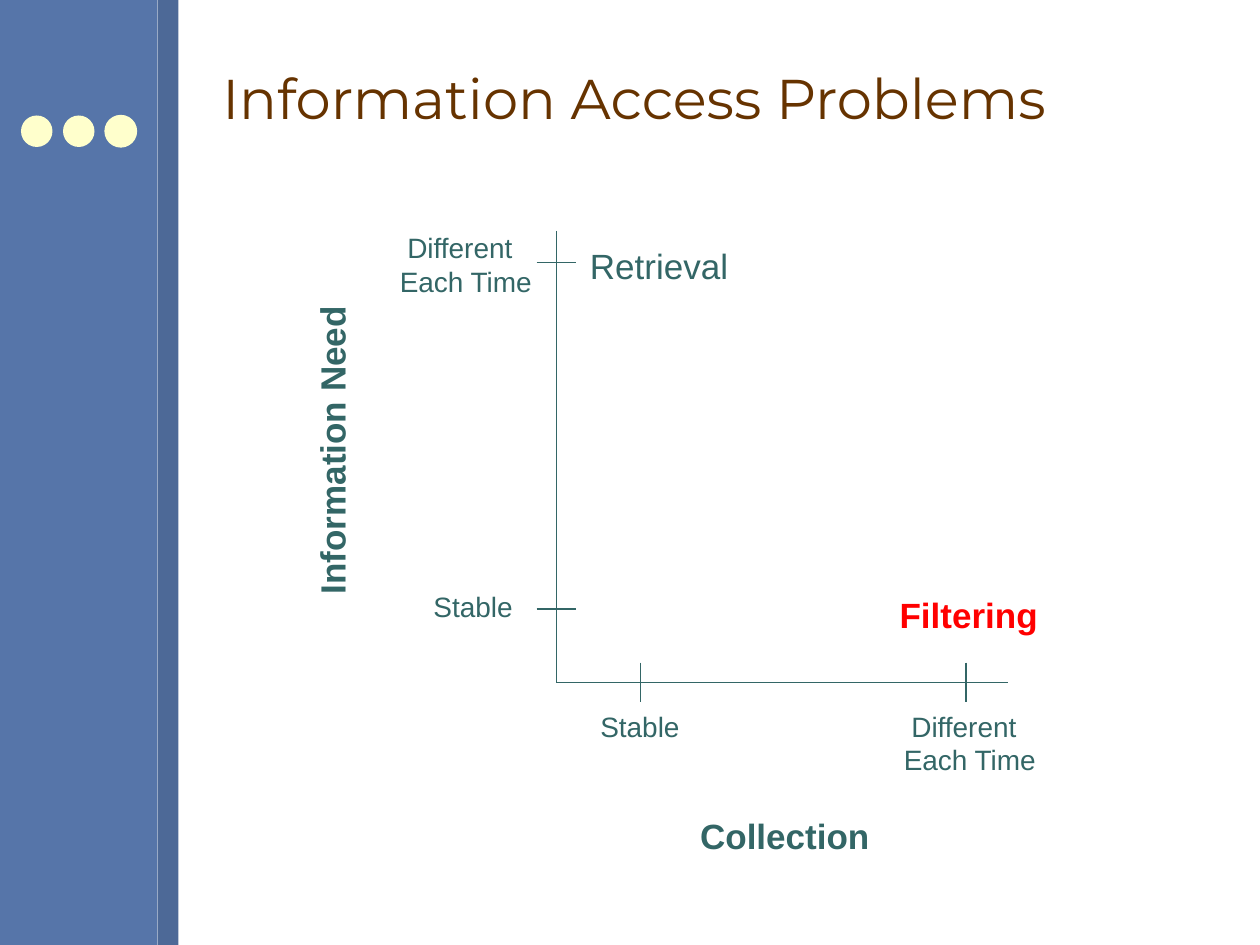
from dataclasses import dataclass
from typing import NamedTuple

from lxml.etree import SubElement
from pptx import Presentation
from pptx.dml.color import RGBColor
from pptx.enum.shapes import MSO_CONNECTOR, MSO_SHAPE
from pptx.enum.text import MSO_ANCHOR, MSO_AUTO_SIZE
from pptx.oxml.ns import qn
from pptx.util import Emu, Inches, Pt

COLUMNS, ROWS = 120, 90  # grid of twelve steps to the inch


@dataclass(frozen=True)
class Theme:
    band: str = "5675A9"
    band_edge: str = "4D6997"
    dot: str = "FFFFCC"
    title: str = "663300"
    ink: str = "336666"
    accent: str = "FF0000"
    title_font: str = "Montserrat"
    body_font: str = "Arial"
    title_size: int = 32
    name_size: int = 20
    tick_size: int = 16
    line_width: float = 1
    dot_line: float = 0.75


THEME = Theme()


class Area(NamedTuple):
    column: float
    row: float
    columns: float
    rows: float


@dataclass(frozen=True)
class Label:
    lines: tuple[str, ...]
    area: Area
    size: int = THEME.name_size
    color: str = THEME.ink
    font: str = THEME.body_font
    bold: bool = False
    rotation: int = 0
    first_indent: float = 0
    is_title: bool = False


def grid(steps: float) -> Emu:
    return Inches(steps / 12)


def draw_block(slide, kind: MSO_SHAPE, area: Area, color: str, outline: float = 0) -> None:
    block = slide.shapes.add_shape(kind, *map(grid, area))
    block.shadow.inherit = False
    block.fill.solid()
    block.fill.fore_color.rgb = RGBColor.from_string(color)
    if outline:
        block.line.color.rgb = RGBColor.from_string(color)
        block.line.width = Pt(outline)
    else:
        block.line.fill.background()


def draw_line(slide, start: tuple[float, float], end: tuple[float, float]) -> None:
    line = slide.shapes.add_connector(MSO_CONNECTOR.STRAIGHT, *map(grid, start + end))
    line.line.color.rgb = RGBColor.from_string(THEME.ink)
    line.line.width = Pt(THEME.line_width)
    SubElement(line._element.spPr, qn("a:effectLst"))


def draw_label(slide, label: Label) -> None:
    box = slide.shapes.add_textbox(*map(grid, label.area))
    box.rotation = label.rotation
    frame = box.text_frame
    frame.text = "\n".join(label.lines)
    frame.word_wrap = label.is_title
    if label.is_title:
        frame.vertical_anchor = MSO_ANCHOR.MIDDLE
    else:
        frame.auto_size = MSO_AUTO_SIZE.SHAPE_TO_FIT_TEXT
    if label.first_indent:
        frame.paragraphs[0]._p.get_or_add_pPr().set("indent", str(Inches(label.first_indent)))
    font_format = {"name": label.font, "size": Pt(label.size), "bold": label.bold}
    for paragraph in frame.paragraphs:
        for run in paragraph.runs:
            for attribute, value in font_format.items():
                setattr(run.font, attribute, value)
            run.font.color.rgb = RGBColor.from_string(label.color)


# Axes and the places of their ticks
ORIGIN = (53, 65)
NEED_TOP, COLLECTION_END = 22, 96
NEED_TICKS = (25, 58)
COLLECTION_TICKS = (61, 92)
HALF_TICK = 1.9

EACH_TIME = ("Different", "Each Time")
TICK = {"size": THEME.tick_size}
EACH_TIME_TICK = {**TICK, "first_indent": 0.06}

LABELS = (
    Label(("Information Access Problems",), Area(20, 2.5, 96, 13.5), THEME.title_size,
          THEME.title, THEME.title_font, is_title=True),
    Label(("Collection",), Area(65.5, 77, 19, 5.2), bold=True),
    Label(("Information Need",), Area(16.6, 40.2, 30, 5.2), bold=True, rotation=270),
    Label(("Stable",), Area(56, 67, 10, 4.3), **TICK),
    Label(("Stable",), Area(40.1, 55.6, 10, 4.3), **TICK),
    Label(EACH_TIME, Area(84.9, 66.95, 15.2, 7.5), **EACH_TIME_TICK),
    Label(EACH_TIME, Area(36.9, 21.4, 15.2, 7.5), **EACH_TIME_TICK),
    Label(("Retrieval",), Area(55, 22.7, 15.6, 5.2)),
    Label(("Filtering",), Area(84.5, 55.9, 15.6, 5.2), color=THEME.accent, bold=True),
)


def main() -> None:
    deck = Presentation()
    deck.slide_width, deck.slide_height = grid(COLUMNS), grid(ROWS)
    slide = deck.slides.add_slide(deck.slide_layouts[6])

    # Side band with three dots
    draw_block(slide, MSO_SHAPE.RECTANGLE, Area(0, 0, 15, ROWS), THEME.band)
    draw_block(slide, MSO_SHAPE.RECTANGLE, Area(15, 0, 2, ROWS), THEME.band_edge)
    for column, outline in ((2, 0), (6, 0), (10, THEME.dot_line)):
        draw_block(slide, MSO_SHAPE.OVAL, Area(column, 11, 3, 3), THEME.dot, outline)

    # Axes
    axis_column, axis_row = ORIGIN
    draw_line(slide, (axis_column, NEED_TOP), ORIGIN)
    draw_line(slide, ORIGIN, (COLLECTION_END, axis_row))

    # Ticks
    for row in NEED_TICKS:
        draw_line(slide, (axis_column - HALF_TICK, row), (axis_column + HALF_TICK, row))
    for column in COLLECTION_TICKS:
        draw_line(slide, (column, axis_row - HALF_TICK), (column, axis_row + HALF_TICK))

    # Title, axis names, tick names and problems
    for label in LABELS:
        draw_label(slide, label)

    deck.save("out.pptx")


if __name__ == "__main__":
    main()
